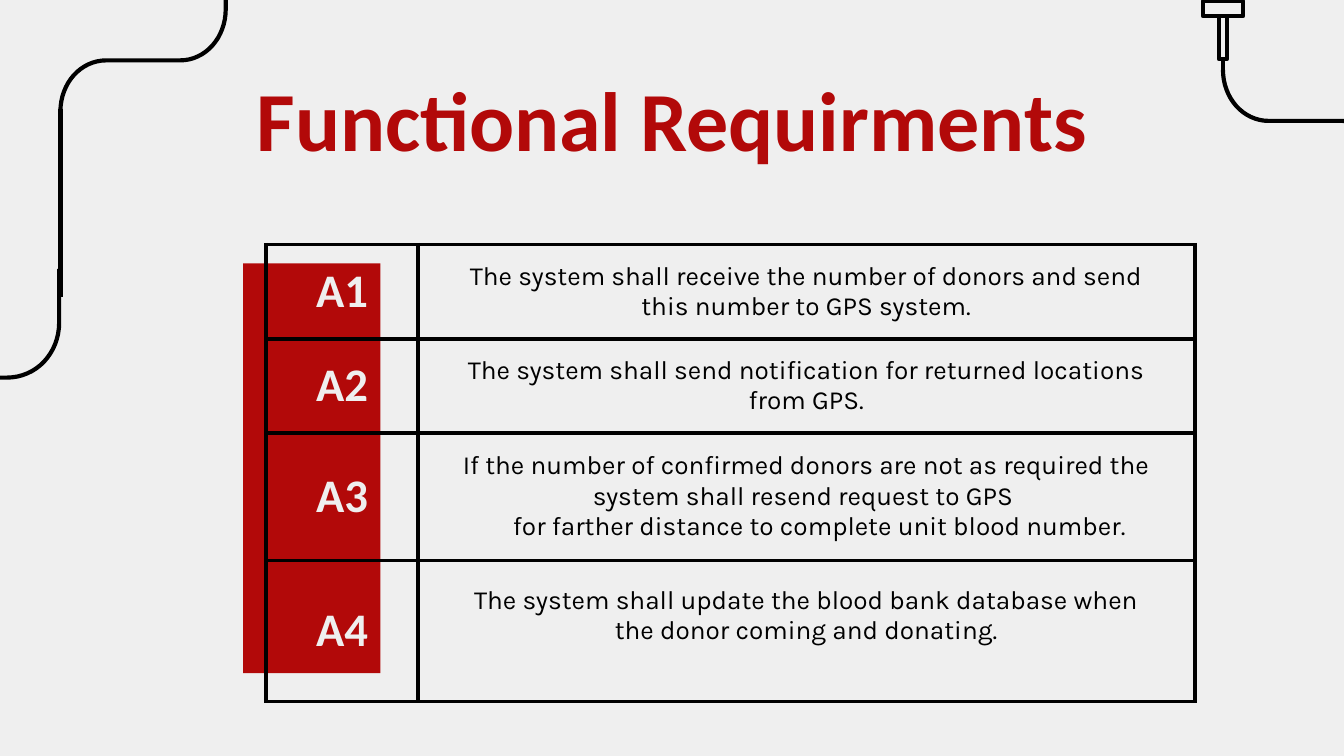
from dataclasses import dataclass

from lxml import etree
from pptx import Presentation
from pptx.dml.color import RGBColor
from pptx.enum import shapes, text
from pptx.oxml import ns
from pptx.util import Inches, Pt


@dataclass(frozen=True)
class Theme:
    background: str = "EFEFEF"
    accent: str = "B20909"
    ink: str = "000000"
    heading_font: str = "Calibri"
    body_font: str = "Karla"
    title_size: int = 45
    label_size: int = 25
    body_size: int = 14
    line_width: float = 2.25


THEME = Theme()
SLIDE_WIDTH = 10
SLIDE_HEIGHT = SLIDE_WIDTH * 9 / 16
TITLE = "Functional Requirments"
REQUIREMENTS = [
    ("A1", 0.7, ["The system shall receive the number of donors and send this number to GPS system."]),
    ("A2", 0.7, ["The system shall send notification for returned locations from GPS."]),
    ("A3", 0.95, ["If the number of confirmed donors are not as required the system shall resend request to GPS ",
                  "for farther distance to complete unit blood number."]),
    ("A4", 1.05, ["The system shall update the blood bank database when the donor coming and donating."]),
]
COLUMN_WIDTHS = (1.13, 5.78)

# A path is a list of points; a triple of points is a Bézier curve.
S_BEND = [(0, 0), ((0, 0.21), (0.15, 0.38), (0.34, 0.38)), (0.89, 0.38),
          ((1.08, 0.38), (1.23, 0.55), (1.23, 0.76)), (1.23, 0.9)]
END_BEND = [(0.45, 0), (0.45, 0.4), ((0.45, 0.63), (0.28, 0.81), (0.06, 0.81)), (0, 0.81)]


def rgb(color):
    return RGBColor.from_string(color)


def flatten(path_points, steps=16):
    """Turn the curves of a path into short straight steps."""
    points = []
    for item in path_points:
        if not isinstance(item[0], tuple):
            points.append(item)
            continue
        corners = (points[-1], *item)
        for step in range(1, steps + 1):
            t = step / steps
            weights = ((1 - t) ** 3, 3 * t * (1 - t) ** 2, 3 * t * t * (1 - t), t ** 3)
            points.append(tuple(sum(w * corner[axis] for w, corner in zip(weights, corners))
                                for axis in (0, 1)))
    return points


def style_line(shape):
    shape.line.color.rgb = rgb(THEME.ink)
    shape.line.width = Pt(THEME.line_width)


def add_tube(slide, left, top, bend, vertical=1):
    """Draw a bend from its starting corner; vertical=-1 turns it upwards."""
    points = [(Inches(left + x), Inches(top + vertical * y)) for x, y in flatten(bend)]
    builder = slide.shapes.build_freeform(*points[0])
    builder.add_line_segments(points[1:], close=False)
    shape = builder.convert_to_shape()
    shape.shadow.inherit = False
    shape.fill.background()
    style_line(shape)


def add_straight_tube(slide, x, top, bottom):
    connector = slide.shapes.add_connector(
        shapes.MSO_CONNECTOR.STRAIGHT, Inches(x), Inches(top), Inches(x), Inches(bottom))
    style_line(connector)
    etree.SubElement(connector.element.spPr, ns.qn("a:effectLst"))


def add_rectangle(slide, left, top, width, height):
    shape = slide.shapes.add_shape(
        shapes.MSO_SHAPE.RECTANGLE, Inches(left), Inches(top), Inches(width), Inches(height))
    shape.shadow.inherit = False
    return shape


def add_left_tube(slide, left, top):
    add_tube(slide, left, top, S_BEND, vertical=-1)
    add_straight_tube(slide, left, top - 0.02, top + 1.38)
    add_tube(slide, left - 0.46, top + 1.17, END_BEND)


def add_syringe(slide, left, top):
    for x, y, width, height in ((0, 0, 0.3, 0.11), (0.12, 0.11, 0.06, 0.32)):
        part = add_rectangle(slide, left + x, top + y, width, height)
        part.fill.background()
        style_line(part)
    add_straight_tube(slide, left + 0.15, top + 0.44, top + 0.54)
    add_tube(slide, left + 0.15, top + 0.51, S_BEND)


def format_text(text_frame, font_name, size, color, bold):
    for paragraph in text_frame.paragraphs:
        paragraph.alignment = text.PP_ALIGN.CENTER
        for run in paragraph.runs:
            run.font.name = font_name
            run.font.size = Pt(size)
            run.font.bold = bold
            run.font.color.rgb = rgb(color)


def add_title(slide, left, top, width, height):
    title = slide.shapes.title
    title.left, title.top, title.width, title.height = map(Inches, (left, top, width, height))
    frame = title.text_frame
    frame.text = TITLE
    frame.auto_size = text.MSO_AUTO_SIZE.NONE
    frame.vertical_anchor = text.MSO_ANCHOR.TOP
    frame.margin_left = frame.margin_right = Inches(0.1)
    frame.margin_top = frame.margin_bottom = Inches(0.1)
    format_text(frame, THEME.heading_font, THEME.title_size, THEME.accent, True)


def set_borders(cell):
    properties = cell._tc.get_or_add_tcPr()
    for index, side in enumerate(("lnL", "lnR", "lnT", "lnB")):
        border = etree.Element(ns.qn(f"a:{side}"), w=str(Pt(THEME.line_width)))
        fill = etree.SubElement(border, ns.qn("a:solidFill"))
        etree.SubElement(fill, ns.qn("a:srgbClr"), val=THEME.ink)
        properties.insert(index, border)


def format_cell(cell, side_margin):
    cell.vertical_anchor = text.MSO_ANCHOR.MIDDLE
    cell.margin_left = cell.margin_right = Inches(side_margin)
    cell.margin_top = cell.margin_bottom = Inches(0.1)
    cell.fill.background()
    set_borders(cell)


def add_requirements(slide, left, top):
    width, height = sum(COLUMN_WIDTHS), sum(row[1] for row in REQUIREMENTS)
    band = add_rectangle(slide, left - 0.17, top + 0.14, 1.02, 3.05)
    band.fill.solid()
    band.fill.fore_color.rgb = rgb(THEME.accent)
    band.line.fill.background()

    table = slide.shapes.add_table(
        len(REQUIREMENTS), len(COLUMN_WIDTHS),
        Inches(left), Inches(top), Inches(width), Inches(height)).table
    table.first_row = table.horz_banding = False
    for column, column_width in zip(table.columns, COLUMN_WIDTHS):
        column.width = Inches(column_width)
    for index, (label, row_height, lines) in enumerate(REQUIREMENTS):
        table.rows[index].height = Inches(row_height)
        label_cell, body_cell = table.cell(index, 0), table.cell(index, 1)
        label_cell.text = label
        body_cell.text = "\n".join(lines)
        format_cell(label_cell, 0.1)
        format_cell(body_cell, 0.25)
        format_text(label_cell.text_frame, THEME.heading_font, THEME.label_size, THEME.background, True)
        format_text(body_cell.text_frame, THEME.body_font, THEME.body_size, THEME.ink, False)
        for paragraph in body_cell.text_frame.paragraphs[1:]:
            paragraph._p.get_or_add_pPr().set("marL", str(Inches(0.2)))
    body_cell.margin_bottom = Inches(0.33)  # the last text sits a little higher


def main():
    presentation = Presentation()
    presentation.slide_width = Inches(SLIDE_WIDTH)
    presentation.slide_height = Inches(SLIDE_HEIGHT)
    slide = presentation.slides.add_slide(presentation.slide_layouts[5])
    slide.background.fill.solid()
    slide.background.fill.fore_color.rgb = rgb(THEME.background)
    add_left_tube(slide, 0.45, 0.83)
    add_syringe(slide, 8.95, 0.01)
    add_title(slide, 0.78, 0.4, 8.44, 0.9)
    add_requirements(slide, 1.98, 1.82)
    presentation.save("out.pptx")


if __name__ == "__main__":
    main()
